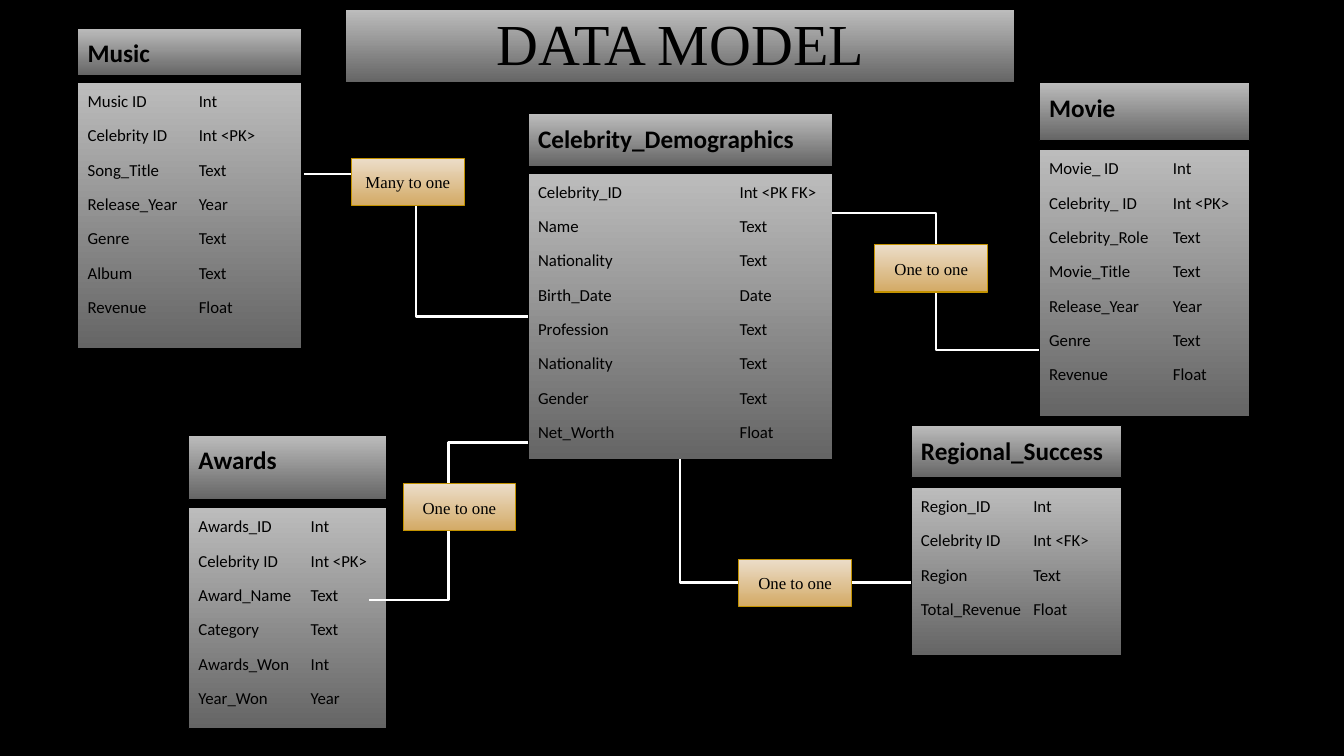
from dataclasses import dataclass

from lxml.etree import SubElement
from pptx import Presentation
from pptx.dml.color import RGBColor
from pptx.enum.shapes import MSO_CONNECTOR, MSO_SHAPE
from pptx.enum.text import MSO_ANCHOR, MSO_AUTO_SIZE, PP_ALIGN
from pptx.oxml.ns import qn
from pptx.util import Cm, Pt


@dataclass(frozen=True)
class Theme:
    background: str = "000000"
    ink: str = "000000"
    link: str = "FFFFFF"
    panel: tuple = ("BCBCBC", "656565")
    tag: tuple = ("ECDDC9", "D3AA65")
    tag_border: str = "C39200"
    sans: str = "Calibri"
    serif: str = "Times New Roman"
    title_size: float = 41.4
    heading_size: float = 18
    body_size: float = 12


THEME = Theme()

ENTITIES = {
    "Music": dict(
        box=(1.96, 0.71, 5.64, 8.08), heading_height=1.19, fields_height=6.71, type_column=2.8,
        fields=[("Music ID", "Int"), ("Celebrity ID", "Int <PK>"), ("Song_Title", "Text"),
                ("Release_Year", "Year"), ("Genre", "Text"), ("Album", "Text"),
                ("Revenue", "Float")]),
    "Movie": dict(
        box=(26.19, 2.08, 5.31, 8.41), heading_height=1.47, fields_height=6.71, type_column=3.12,
        fields=[("Movie_ ID", "Int"), ("Celebrity_ ID", "Int <PK>"), ("Celebrity_Role", "Text"),
                ("Movie_Title", "Text"), ("Release_Year", "Year"), ("Genre", "Text"),
                ("Revenue", "Float")]),
    "Celebrity_Demographics": dict(
        box=(13.31, 2.87, 7.67, 8.71), heading_height=1.32, fields_height=7.21, type_column=5.08,
        fields=[("Celebrity_ID", "Int <PK FK>"), ("Name", "Text"), ("Nationality", "Text"),
                ("Birth_Date", "Date"), ("Profession", "Text"), ("Nationality", "Text"),
                ("Gender", "Text"), ("Net_Worth", "Float")]),
    "Awards": dict(
        box=(4.75, 10.97, 4.98, 7.39), heading_height=1.63, fields_height=5.56, type_column=2.83,
        fields=[("Awards_ID", "Int"), ("Celebrity ID", "Int <PK>"), ("Award_Name", "Text"),
                ("Category", "Text"), ("Awards_Won", "Int"), ("Year_Won", "Year")]),
    "Regional_Success": dict(
        box=(22.96, 10.72, 5.31, 5.79), heading_height=1.32, fields_height=4.22, type_column=2.83,
        fields=[("Region_ID", "Int"), ("Celebrity ID", "Int <FK>"), ("Region", "Text"),
                ("Total_Revenue", "Float")]),
}

TAGS = [
    ("Many to one", (8.86, 3.99, 2.84, 1.19)),
    ("One to one", (10.16, 12.19, 2.84, 1.19)),
    ("One to one", (18.62, 14.1, 2.84, 1.19)),
    ("One to one", (22.05, 6.17, 2.84, 1.19)),
]


def color(code):
    return RGBColor.from_string(code)


def paint(shape, gradient, border):
    shape.shadow.inherit = False
    shape.fill.gradient()
    shape.fill.gradient_angle = 270
    for stop, code in zip(shape.fill.gradient_stops, gradient):
        stop.color.rgb = color(code)
    shape.line.color.rgb = color(border)
    shape.line.width = Pt(0.75)


def set_font(paragraph, name, size, bold=False):
    font = paragraph.font
    font.name = name
    font.size = Pt(size)
    font.bold = bold
    font.color.rgb = color(THEME.ink)


def add_title(slide, box):
    title = slide.shapes.title
    title.left, title.top, title.width, title.height = map(Cm, box)
    paint(title, THEME.panel, THEME.ink)
    frame = title.text_frame
    frame.text = "DATA MODEL"
    frame.auto_size = MSO_AUTO_SIZE.NONE
    frame.vertical_anchor = MSO_ANCHOR.MIDDLE
    heading = frame.paragraphs[0]
    heading.alignment = PP_ALIGN.CENTER
    heading.line_spacing = 0.9
    set_font(heading, THEME.serif, THEME.title_size)


def add_panel(shapes, box, lines, size, bold=False, type_column=None):
    panel = shapes.add_shape(MSO_SHAPE.RECTANGLE, *map(Cm, box))
    paint(panel, THEME.panel, THEME.ink)
    frame = panel.text_frame
    frame.word_wrap = True
    frame.vertical_anchor = MSO_ANCHOR.TOP
    frame.text = "\n".join(lines)
    for paragraph in frame.paragraphs:
        paragraph.alignment = PP_ALIGN.LEFT
        paragraph.line_spacing = 1.15
        paragraph.space_after = Pt(8)
        if type_column:
            tabs = SubElement(paragraph._p.get_or_add_pPr(), qn("a:tabLst"))
            SubElement(tabs, qn("a:tab"), pos=str(Cm(type_column)), algn="l")
        set_font(paragraph, THEME.sans, size, bold)
    return panel


def add_entity(slide, name, box, heading_height, fields_height, type_column, fields):
    left, top, width, height = box
    group = slide.shapes.add_group_shape()
    add_panel(group.shapes, (left, top, width, heading_height), [name],
              THEME.heading_size, bold=True)
    return add_panel(group.shapes, (left, top + height - fields_height, width, fields_height),
                     [f"{field}\t{kind}" for field, kind in fields],
                     THEME.body_size, type_column=type_column)


def add_link(slide, start, end, single_bend=False):
    link = slide.shapes.add_connector(MSO_CONNECTOR.ELBOW, *map(Cm, start + end))
    link.line.color.rgb = color(THEME.link)
    link.line.width = Pt(1.5)
    properties = link._element.spPr
    SubElement(properties, qn("a:effectLst"))
    if single_bend:
        properties.find(qn("a:prstGeom")).set("prst", "bentConnector2")
    return link


def add_links(slide, celebrity):
    add_link(slide, (13.31, 11.15), (9.3, 15.11))
    add_link(slide, (20.98, 5.36), (26.19, 8.81))
    music_link = add_link(slide, (7.67, 4.39), (13.31, 7.98))
    music_link.end_connect(celebrity, 1)
    region_link = add_link(slide, (22.96, 14.68), (17.15, 11.58), single_bend=True)
    region_link.end_connect(celebrity, 2)


def add_tag(slide, wording, box):
    tag = slide.shapes.add_shape(MSO_SHAPE.RECTANGLE, *map(Cm, box))
    paint(tag, THEME.tag, THEME.tag_border)
    frame = tag.text_frame
    frame.word_wrap = True
    frame.vertical_anchor = MSO_ANCHOR.MIDDLE
    frame.text = wording
    frame.paragraphs[0].alignment = PP_ALIGN.CENTER
    set_font(frame.paragraphs[0], THEME.serif, THEME.body_size)


def add_data_model(deck):
    slide = deck.slides.add_slide(deck.slide_layouts[5])
    slide.background.fill.solid()
    slide.background.fill.fore_color.rgb = color(THEME.background)
    add_title(slide, (8.71, 0.25, 16.87, 1.83))
    panels = {name: add_entity(slide, name, **entity) for name, entity in ENTITIES.items()}
    add_links(slide, panels["Celebrity_Demographics"])
    for wording, box in TAGS:
        add_tag(slide, wording, box)


def main():
    deck = Presentation()
    deck.slide_width, deck.slide_height = Cm(33.87), Cm(19.05)
    add_data_model(deck)
    deck.save("out.pptx")


if __name__ == "__main__":
    main()
